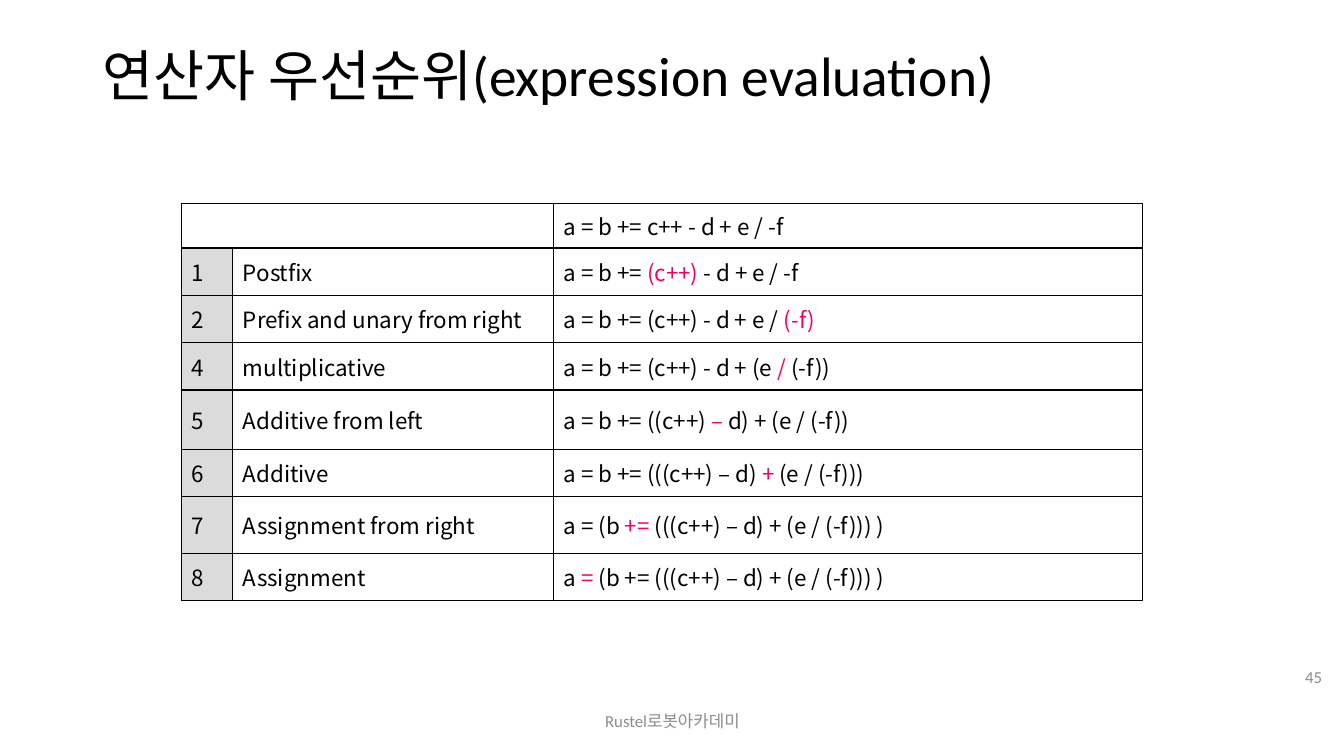
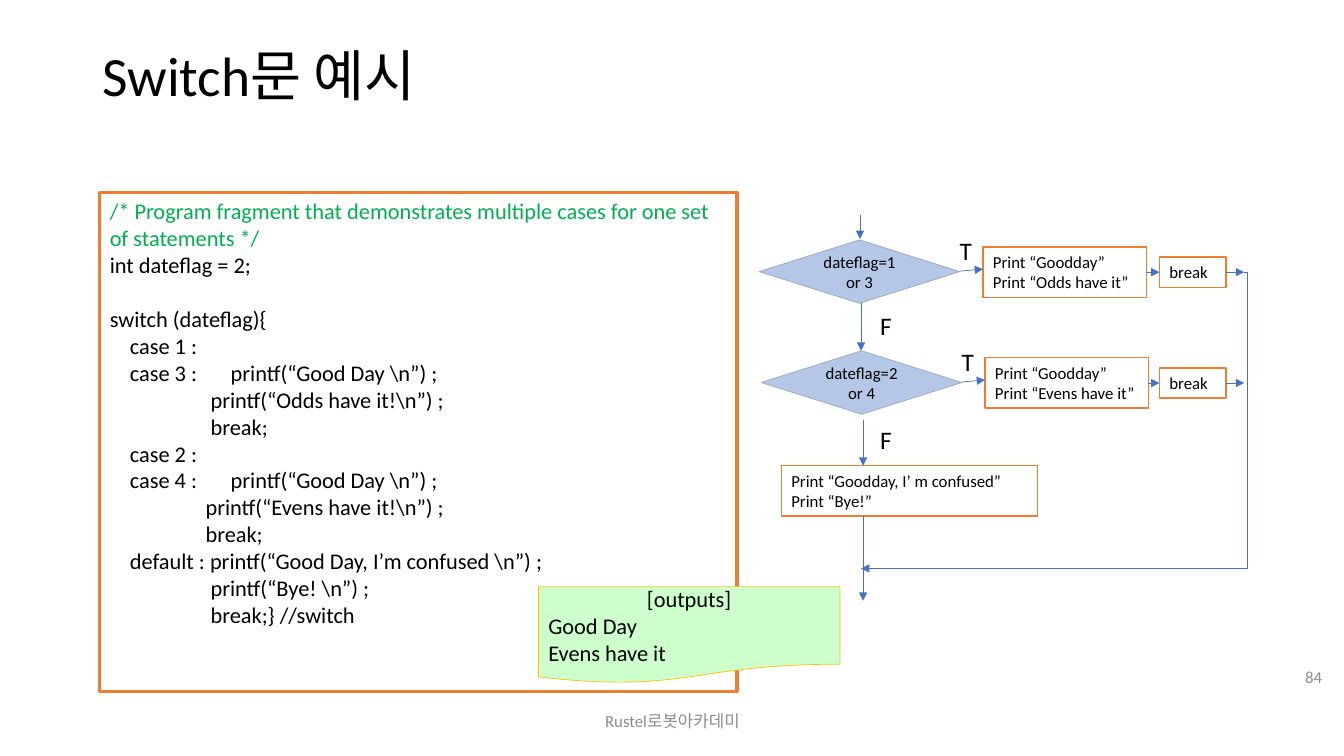
import dataclasses

import lxml.etree
import pptx
import pptx.dml.color
import pptx.enum.shapes
import pptx.enum.text
import pptx.oxml.ns
import pptx.util

SHAPE = pptx.enum.shapes.MSO_SHAPE
CONNECTOR = pptx.enum.shapes.MSO_CONNECTOR
ALIGN = pptx.enum.text.PP_ALIGN
ANCHOR = pptx.enum.text.MSO_ANCHOR
PX = 9144


@dataclasses.dataclass(frozen=True)
class Theme:
    font: str = "Calibri"
    table_font: str = "Noto Sans CJK JP"
    ink: str = "000000"
    muted: str = "8C8C8C"
    accent: str = "F60064"
    comment: str = "00B050"
    paper: str = "FFFFFF"
    number_fill: str = "DBDBDB"
    orange: str = "ED7D31"
    arrow: str = "4472C4"
    decision_fill: str = "B4C7E7"
    decision_line: str = "99A8BD"
    output_fill: str = "CCFFCC"
    output_line: str = "FFC000"
    title_size: float = 39.6
    branch_size: int = 18
    body_size: int = 16
    small_size: int = 12


THEME = Theme()

FOOTER = "Rustel로봇아카데미"
TITLE_AREA = (92, 40, 1150, 75)
FOOTER_AREA = (442, 695, 450, 40)
NUMBER_AREA = (1259, 651, 62, 40)

PRECEDENCE_TITLE = "연산자 우선순위(expression evaluation)"
TABLE_ORIGIN = (180, 202)
COLUMN_WIDTHS = (51, 318, 584)
ROW_HEIGHTS = (44, 47, 47, 47, 59, 47, 56, 47)
ACCENT_MARK = "|"
PRECEDENCE_ROWS = [
    ("", "", "a = b += c++ - d + e / -f"),
    ("1", "Postfix", "a = b += |(c++)| - d + e / -f"),
    ("2", "Prefix and unary from right", "a = b += (c++) - d + e / |(-f)"),
    ("4", "multiplicative", "a = b += (c++) - d + (e |/| (-f))"),
    ("5", "Additive from left", "a = b += ((c++) |–| d) + (e / (-f))"),
    ("6", "Additive", "a = b += (((c++) – d) |+| (e / (-f)))"),
    ("7", "Assignment from right", "a = (b |+=| (((c++) – d) + (e / (-f))) )"),
    ("8", "Assignment", "a |= |(b += (((c++) – d) + (e / (-f))) )"),
]

SWITCH_TITLE = "Switch문 예시"
CODE_AREA = (99, 191, 632, 495)
CODE_TAB = 97
CODE_GAP = 19.5
CODE_LINES = [
    (0, "/* Program fragment that demonstrates multiple cases for one set of statements */"),
    (0, "int dateflag = 2;"),
    (0, "switch (dateflag){"),
    (20, "case 1 :"),
    (20, "case 3 :\tprintf(“Good Day \\n”) ;"),
    (100, "printf(“Odds have it!\\n”) ;"),
    (100, "break;"),
    (20, "case 2 :"),
    (20, "case 4 :\tprintf(“Good Day \\n”) ;"),
    (95, "printf(“Evens have it!\\n”) ;"),
    (95, "break;"),
    (20, "default : printf(“Good Day, I’m confused \\n”) ;"),
    (100, "printf(“Bye! \\n”) ;"),
    (100, "break;} //switch"),
]
OUTPUT_AREA = (534, 582, 299, 96)
OUTPUT_LINES = ["[outputs]", "Good Day", "Evens have it"]

BRANCHES = [
    (753, 238, "dateflag=1 or 3", ["Print “Goodday”", "Print “Odds have it”"]),
    (755, 348, "dateflag=2 or 4", ["Print “Goodday”", "Print “Evens have it”"]),
]
DEFAULT_AREA = (775, 462, 254, 50)
DEFAULT_LINES = ["Print “Goodday, I’ m confused”", "Print “Bye!”"]
FALSE_LABELS = [(863, 303, 45, 40), (863, 416, 29, 40)]
DOWN_ARROWS = [(853, 213, 237), (854, 301, 348), (856, 417, 462), (856, 512, 596)]
RETURN_ARROW = (1234, 270, 854, 564)
RETURN_BEND = -800


def emu(*lengths):
    return [pptx.util.Emu(length * PX) for length in lengths]


def rgb(value):
    return pptx.dml.color.RGBColor.from_string(value)


def add_xml(parent, tag, **attributes):
    return lxml.etree.SubElement(parent, pptx.oxml.ns.qn(tag), attributes)


def style_para(para, size, color=THEME.ink, font=THEME.font, align=ALIGN.LEFT):
    para.alignment = align
    for span in para.runs:
        span.font.size = pptx.util.Pt(size)
        span.font.name = font
        span.font.color.rgb = rgb(color)


def write(shape, lines, size, color=THEME.ink, align=ALIGN.LEFT, anchor=ANCHOR.TOP):
    frame = shape.text_frame
    frame.word_wrap = True
    frame.vertical_anchor = anchor
    frame.text = "\n".join(lines)
    for para in frame.paragraphs:
        style_para(para, size, color, align=align)
    return frame


def add_text(page, area, text, size, **style):
    return write(page.shapes.add_textbox(*emu(*area)), [text], size, **style)


def add_box(page, kind, area, fill, line, width):
    box = page.shapes.add_shape(kind, *emu(*area))
    box.shadow.inherit = False
    if fill:
        box.fill.solid()
        box.fill.fore_color.rgb = rgb(fill)
    else:
        box.fill.background()
    box.line.color.rgb = rgb(line)
    box.line.width = pptx.util.Pt(width)
    return box


def add_action(page, area, lines):
    box = add_box(page, SHAPE.RECTANGLE, area, THEME.paper, THEME.orange, 1)
    write(box, lines, THEME.small_size)


def add_arrow(page, ends, kind=CONNECTOR.STRAIGHT):
    arrow = page.shapes.add_connector(kind, *emu(*ends))
    arrow.line.color.rgb = rgb(THEME.arrow)
    arrow.line.width = pptx.util.Pt(0.5)
    add_xml(arrow.line._get_or_add_ln(), "a:tailEnd", type="triangle")
    add_xml(arrow._element.spPr, "a:effectLst")
    return arrow


def add_page(deck, title, number):
    page = deck.slides.add_slide(deck.slide_layouts[6])
    heading = add_text(page, TITLE_AREA, title, THEME.title_size, anchor=ANCHOR.MIDDLE)
    heading.paragraphs[0].line_spacing = 0.9
    for area, text, align in (
        (FOOTER_AREA, FOOTER, ALIGN.CENTER),
        (NUMBER_AREA, number, ALIGN.RIGHT),
    ):
        add_text(page, area, text, THEME.small_size, color=THEME.muted,
                 align=align, anchor=ANCHOR.MIDDLE)
    return page


def add_borders(cell):
    properties = cell._tc.get_or_add_tcPr()
    for place, side in enumerate(("a:lnL", "a:lnR", "a:lnT", "a:lnB")):
        line = add_xml(properties, side, w=str(pptx.util.Pt(1)))
        add_xml(add_xml(line, "a:solidFill"), "a:srgbClr", val=THEME.ink)
        properties.insert(place, line)


def fill_cell(cell, text, fill):
    cell.vertical_anchor = ANCHOR.MIDDLE
    if fill:
        cell.fill.solid()
        cell.fill.fore_color.rgb = rgb(fill)
    else:
        cell.fill.background()
    add_borders(cell)
    para = cell.text_frame.paragraphs[0]
    for part in text.split(ACCENT_MARK):
        if part:
            para.add_run().text = part
    style_para(para, THEME.body_size, font=THEME.table_font)
    for span in para.runs[1::2]:
        span.font.color.rgb = rgb(THEME.accent)


def build_precedence(deck):
    page = add_page(deck, PRECEDENCE_TITLE, "45")
    area = (*TABLE_ORIGIN, sum(COLUMN_WIDTHS), sum(ROW_HEIGHTS))
    table = page.shapes.add_table(len(ROW_HEIGHTS), len(COLUMN_WIDTHS), *emu(*area)).table
    table.first_row = False
    table.horz_banding = False
    for column, width in zip(table.columns, emu(*COLUMN_WIDTHS)):
        column.width = width
    for row, height in zip(table.rows, emu(*ROW_HEIGHTS)):
        row.height = height
    for row_index, texts in enumerate(PRECEDENCE_ROWS):
        for column_index, text in enumerate(texts):
            numbered = row_index > 0 and column_index == 0
            fill_cell(table.cell(row_index, column_index), text,
                      THEME.number_fill if numbered else None)
    table.cell(0, 0).merge(table.cell(0, 1))


def add_code(page):
    box = add_box(page, SHAPE.RECTANGLE, CODE_AREA, None, THEME.orange, 2.25)
    frame = write(box, [text for indent, text in CODE_LINES], THEME.body_size)
    for para, (indent, text) in zip(frame.paragraphs, CODE_LINES):
        properties = para._p.get_or_add_pPr()
        properties.set("marL", str(indent * PX))
        properties.set("indent", "0")
        if "\t" in text:
            tabs = add_xml(properties, "a:tabLst")
            add_xml(tabs, "a:tab", pos=str(CODE_TAB * PX), algn="l")
    style_para(frame.paragraphs[0], THEME.body_size, THEME.comment)
    frame.paragraphs[2].space_before = pptx.util.Pt(CODE_GAP)


def add_branch(page, left, top, question, actions):
    decision = add_box(page, SHAPE.DIAMOND, (left, top, 199, 63),
                       THEME.decision_fill, THEME.decision_line, 0.5)
    write(decision, [question], THEME.small_size, align=ALIGN.CENTER, anchor=ANCHOR.MIDDLE)
    add_action(page, (left + 222, top + 7, 162, 50), actions)
    add_action(page, (1150, top + 17, 66, 30), ["break"])
    add_text(page, (left + 189, top - 9, 45, 40), "T", THEME.branch_size)
    middle = top + 32
    add_arrow(page, (left + 199, middle - 1, left + 222, middle - 3))
    add_arrow(page, (left + 384, middle, 1150, middle))
    add_arrow(page, (1216, middle, 1234, middle))


def build_switch(deck):
    page = add_page(deck, SWITCH_TITLE, "84")
    add_code(page)
    output = add_box(page, SHAPE.FLOWCHART_DOCUMENT, OUTPUT_AREA,
                     THEME.output_fill, THEME.output_line, 0.5)
    frame = write(output, OUTPUT_LINES, THEME.body_size, anchor=ANCHOR.MIDDLE)
    frame.paragraphs[0].alignment = ALIGN.CENTER
    for branch in BRANCHES:
        add_branch(page, *branch)
    add_action(page, DEFAULT_AREA, DEFAULT_LINES)
    for area in FALSE_LABELS:
        add_text(page, area, "F", THEME.branch_size)
    for x, top, bottom in DOWN_ARROWS:
        add_arrow(page, (x, top, x, bottom))
    bend = add_arrow(page, RETURN_ARROW, CONNECTOR.ELBOW)
    guides = bend._element.spPr.find(".//" + pptx.oxml.ns.qn("a:avLst"))
    add_xml(guides, "a:gd", name="adj1", fmla=f"val {RETURN_BEND}")


def main():
    deck = pptx.Presentation()
    deck.slide_width, deck.slide_height = emu(1333, 750)
    build_precedence(deck)
    build_switch(deck)
    deck.save("out.pptx")


if __name__ == "__main__":
    main()
